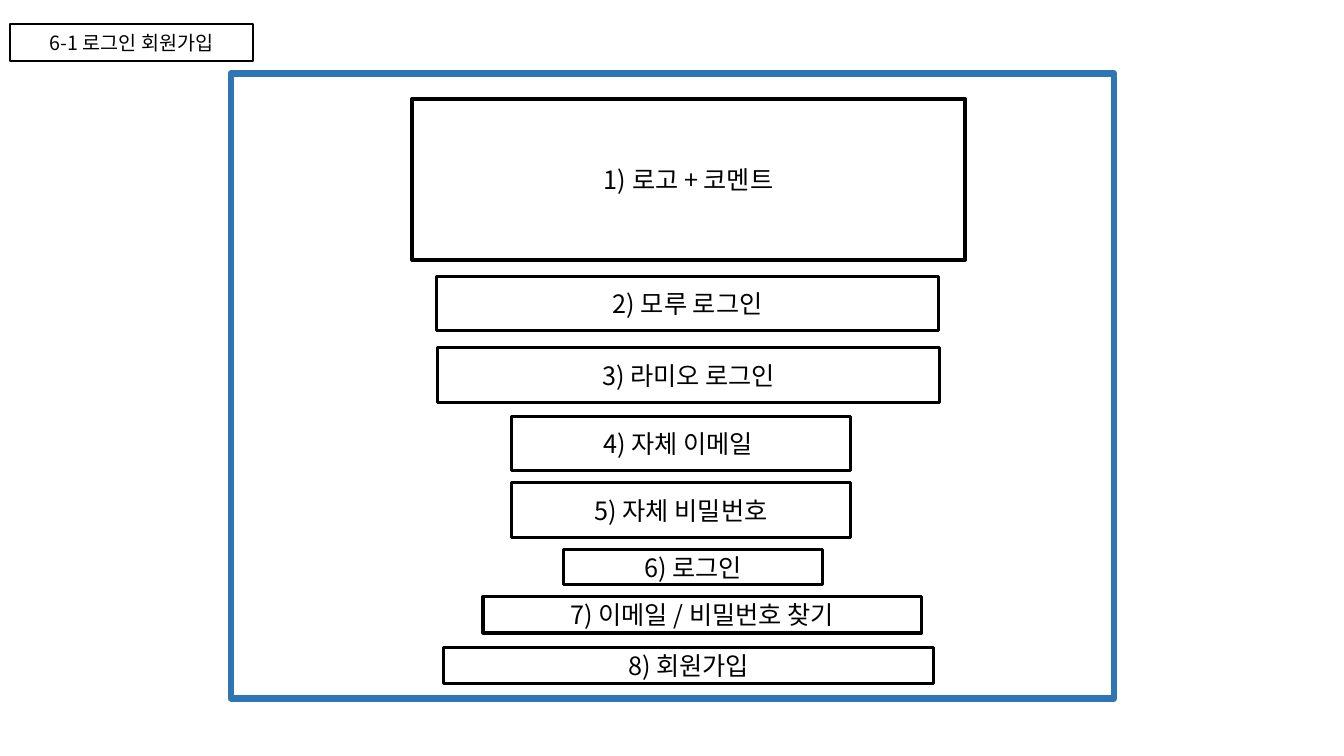
"""Build the login and sign-up wireframe slide."""
from dataclasses import dataclass

from lxml.etree import SubElement
from pptx import Presentation
from pptx.dml.color import RGBColor as Rgb
from pptx.enum.shapes import MSO_SHAPE as Preset
from pptx.enum.text import MSO_ANCHOR as Anchor, PP_ALIGN as Align
from pptx.oxml.ns import qn
from pptx.util import Inches, Pt


@dataclass(frozen=True)
class Theme:
    font: str = "Noto Sans CJK KR"
    ink: Rgb = Rgb(0x00, 0x00, 0x00)
    paper: Rgb = Rgb(0xFF, 0xFF, 0xFF)
    accent: Rgb = Rgb(0x2E, 0x75, 0xB6)
    title_size: float = 14
    label_size: float = 18
    title_line: float = 1.5
    field_line: float = 2.25
    banner_line: float = 3
    frame_line: float = 4.5


class Wireframe:
    def __init__(self, slide, theme):
        self.slide = slide
        self.theme = theme

    def outline(self, bounds, color, weight):
        box = self.slide.shapes.add_shape(Preset.RECTANGLE, *map(Inches, bounds))
        box.shadow.inherit = False
        box.fill.solid()
        box.fill.fore_color.rgb = self.theme.paper
        box.line.color.rgb = color
        box.line.width = Pt(weight)
        return box

    def labelled(self, label, bounds, weight, size):
        frame = self.outline(bounds, self.theme.ink, weight).text_frame
        for key, value in {"word_wrap": True, "vertical_anchor": Anchor.MIDDLE}.items():
            setattr(frame, key, value)
        paragraph = frame.paragraphs[0]
        paragraph.alignment = Align.CENTER
        run = paragraph.add_run()
        run.text = label
        for key, value in {"name": self.theme.font, "size": Pt(size)}.items():
            setattr(run.font, key, value)
        run.font.color.rgb = self.theme.ink
        SubElement(run._r.get_or_add_rPr(), qn("a:ea"), typeface=self.theme.font)


FIELDS = [
    ("모루 로그인", (4.33, 2.74, 4.98, 0.54)),
    ("라미오 로그인", (4.34, 3.45, 4.98, 0.54)),
    ("자체 이메일 ", (5.07, 4.13, 3.37, 0.54)),
    ("자체 비밀번호", (5.07, 4.79, 3.37, 0.54)),
    ("로그인", (5.59, 5.45, 2.57, 0.35)),
    ("이메일 / 비밀번호 찾기", (4.79, 5.92, 4.35, 0.36)),
    ("회원가입", (4.4, 6.42, 4.86, 0.36)),
]


def main():
    deck = Presentation()
    deck.slide_width, deck.slide_height = Inches(13.33), Inches(7.5)
    theme = Theme()
    page = Wireframe(deck.slides.add_slide(deck.slide_layouts[6]), theme)

    page.labelled("6-1 로그인 회원가입", (0.1, 0.24, 2.41, 0.37),
                  theme.title_line, theme.title_size)
    page.outline((2.29, 0.73, 8.76, 6.2), theme.accent, theme.frame_line)
    page.labelled("1) 로고 + 코멘트", (4.09, 0.98, 5.48, 1.6),
                  theme.banner_line, theme.label_size)
    for number, (label, bounds) in enumerate(FIELDS, start=2):
        page.labelled(f"{number}) {label}", bounds, theme.field_line, theme.label_size)

    deck.save("out.pptx")


if __name__ == "__main__":
    main()
